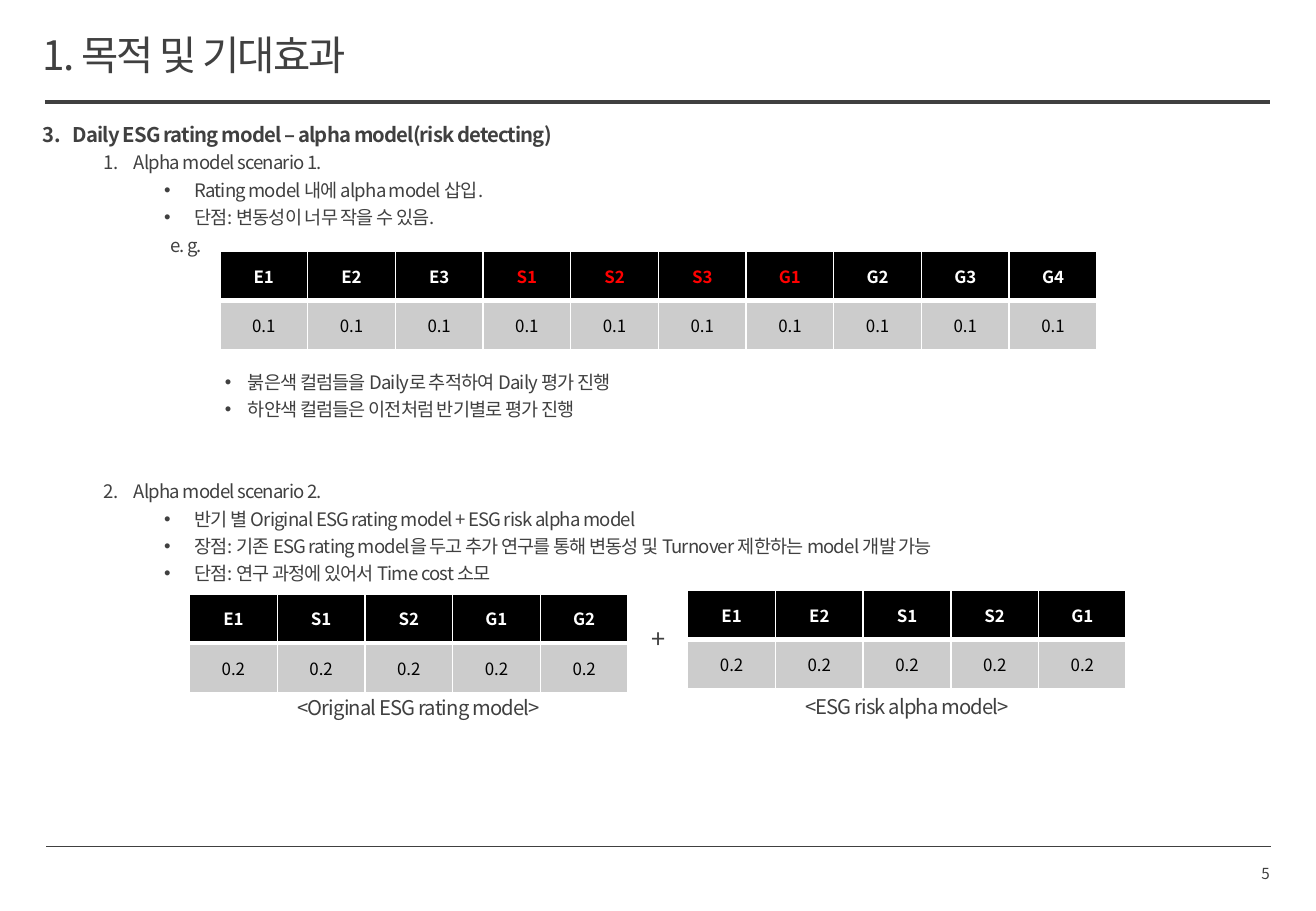
from dataclasses import dataclass

from lxml import etree
from pptx import Presentation
from pptx import util as u
from pptx.dml.color import RGBColor
from pptx.enum import shapes, text
from pptx.oxml import ns

PX = 9144


@dataclass
class Theme:
    font: str = "Noto Sans CJK KR"
    ink: str = "404040"
    white: str = "FFFFFF"
    black: str = "000000"
    red: str = "FF0000"
    grey: str = "CCCCCC"
    title: int = 24
    plus: int = 15
    heading: int = 12
    body: int = 11
    cell: int = 10
    page: int = 9


theme = Theme()
LEFT, CENTER, RIGHT = text.PP_ALIGN.LEFT, text.PP_ALIGN.CENTER, text.PP_ALIGN.RIGHT
TOP, MIDDLE = text.MSO_ANCHOR.TOP, text.MSO_ANCHOR.MIDDLE


def write(para, content, size=theme.body, color=theme.ink, bold=False,
          tracking=-0.5, align=LEFT, before=0, line=0.9):
    para.alignment = align
    para.line_spacing = line
    para.space_before = u.Pt(before)
    span = para.add_run()
    span.text = content
    span.font.size = u.Pt(size)
    span.font.bold = bold
    span.font.color.rgb = RGBColor.from_string(color)
    span.font.name = theme.font
    props = span._r.get_or_add_rPr()
    props.set("spc", str(round(tracking * 100)))
    etree.SubElement(props, ns.qn("a:ea"), typeface=theme.font)


def place(box, left, top, width, height, anchor=TOP):
    box.left, box.top, box.width, box.height = (v * PX for v in (left, top, width, height))
    frame = box.text_frame
    frame.margin_left = frame.margin_right = frame.margin_top = frame.margin_bottom = 0
    frame.word_wrap = True
    frame.auto_size = text.MSO_AUTO_SIZE.NONE
    frame.vertical_anchor = anchor
    return frame


deck = Presentation()
deck.slide_width, deck.slide_height = 1083 * PX, 750 * PX
page = deck.slides.add_slide(deck.slide_layouts[1])
title, body = page.placeholders

for left, right, y, weight in [(38, 1046, 697, 0.5), (37, 1045, 84, 2)]:
    rule = page.shapes.add_connector(
        shapes.MSO_CONNECTOR.STRAIGHT, left * PX, y * PX, right * PX, y * PX)
    rule.line.color.rgb = RGBColor.from_string(theme.ink)
    rule.line.width = u.Pt(weight)
    etree.SubElement(rule._element.spPr, ns.qn("a:effectLst"))

frame = place(title, 35, 29, 695, 40)
write(frame.paragraphs[0], "1. 목적 및 기대효과", size=theme.title, tracking=-1.1)

LINE, GAP = 13.25, 3
PITCH = LINE + GAP
outline = [
    (0, 3, 0, "Daily ESG rating model – alpha model(risk detecting)"),
    (1, 1, GAP, "Alpha model scenario 1."),
    (2, "•", GAP, "Rating model 내에 alpha model 삽입."),
    (2, "•", GAP, "단점: 변동성이 너무 작을 수 있음."),
    (2, None, GAP, "e. g."),
    (3, "•", GAP + 4 * PITCH, "붉은색 컬럼들을 Daily로 추적하여 Daily 평가 진행"),
    (3, "•", GAP, "하얀색 컬럼들은 이전처럼 반기별로 평가 진행"),
    (1, 2, GAP + 2 * PITCH, "Alpha model scenario 2."),
    (2, "•", GAP, "반기 별 Original ESG rating model + ESG risk alpha model"),
    (2, "•", GAP, "장점: 기존 ESG rating model을 두고 추가 연구를 통해 변동성 및 Turnover 제한하는 model 개발 가능"),
    (2, "•", GAP, "단점: 연구 과정에 있어서 Time cost 소모"),
]
indents = [(25, -25), (75, -25), (125, -25), (169, -19)]
frame = place(body, 35, 102, 1010, 565)
for index, (level, marker, before, content) in enumerate(outline):
    para = frame.add_paragraph() if index else frame.paragraphs[0]
    para.level = level
    write(para, content, size=theme.body if level else theme.heading,
          bold=level == 0, before=before, line=u.Pt(LINE))
    margin, hanging = indents[level] if marker else (105, 0)
    props = para._p.get_or_add_pPr()
    props.set("marL", str(margin * PX))
    props.set("indent", str(hanging * PX))
    if marker is None:
        etree.SubElement(props, ns.qn("a:buNone"))
    elif marker == "•":
        etree.SubElement(props, ns.qn("a:buFont"), typeface="Arial")
        etree.SubElement(props, ns.qn("a:buChar"), char=marker)
    else:
        etree.SubElement(props, ns.qn("a:buFont"), typeface="+mj-lt")
        etree.SubElement(props, ns.qn("a:buAutoNum"), type="arabicPeriod", startAt=str(marker))

tables = [
    (181, 207, 722, "E1 E2 E3 S1 S2 S3 G1 G2 G3 G4", "S1 S2 S3 G1", "0.1"),
    (156, 489, 361, "E1 S1 S2 G1 G2", "", "0.2"),
    (566, 486, 361, "E1 E2 S1 S2 G1", "", "0.2"),
]
for left, top, width, names, daily, weight in tables:
    names = names.split()
    grid = page.shapes.add_table(2, len(names), left * PX, top * PX, width * PX, 81 * PX).table
    for column, name in enumerate(names):
        header_color = theme.red if name in daily.split() else theme.white
        rows = [
            (name, theme.black, header_color, True, (1, 1, 1, 3)),
            (weight, theme.grey, theme.black, False, (1, 1, 3, 1)),
        ]
        for row, (content, fill, color, bold, borders) in enumerate(rows):
            cell = grid.cell(row, column)
            cell.vertical_anchor = MIDDLE
            props = cell._tc.get_or_add_tcPr()
            for side, points in zip("LRTB", borders):
                edge = etree.SubElement(props, ns.qn(f"a:ln{side}"), w=str(u.Pt(points)))
                paint = etree.SubElement(edge, ns.qn("a:solidFill"))
                etree.SubElement(paint, ns.qn("a:srgbClr"), val=theme.white)
            cell.fill.solid()
            cell.fill.fore_color.rgb = RGBColor.from_string(fill)
            write(cell.text_frame.paragraphs[0], content, size=theme.cell, color=color,
                  bold=bold, tracking=0, align=CENTER, line=1.0)

labels = [
    ("+", (517, 516, 50, 25), TOP, dict(size=theme.plus, align=CENTER)),
    ("<Original ESG rating model>", (172, 575, 345, 20), TOP,
     dict(size=theme.heading, align=CENTER)),
    ("<ESG risk alpha model>", (574, 574, 345, 20), TOP,
     dict(size=theme.heading, align=CENTER)),
    ("5", (792, 699, 253, 40), MIDDLE,
     dict(size=theme.page, align=RIGHT, tracking=0, line=1.0)),
]
for content, area, anchor, style in labels:
    box = page.shapes.add_textbox(0, 0, PX, PX)
    write(place(box, *area, anchor=anchor).paragraphs[0], content, **style)

deck.save("out.pptx")
